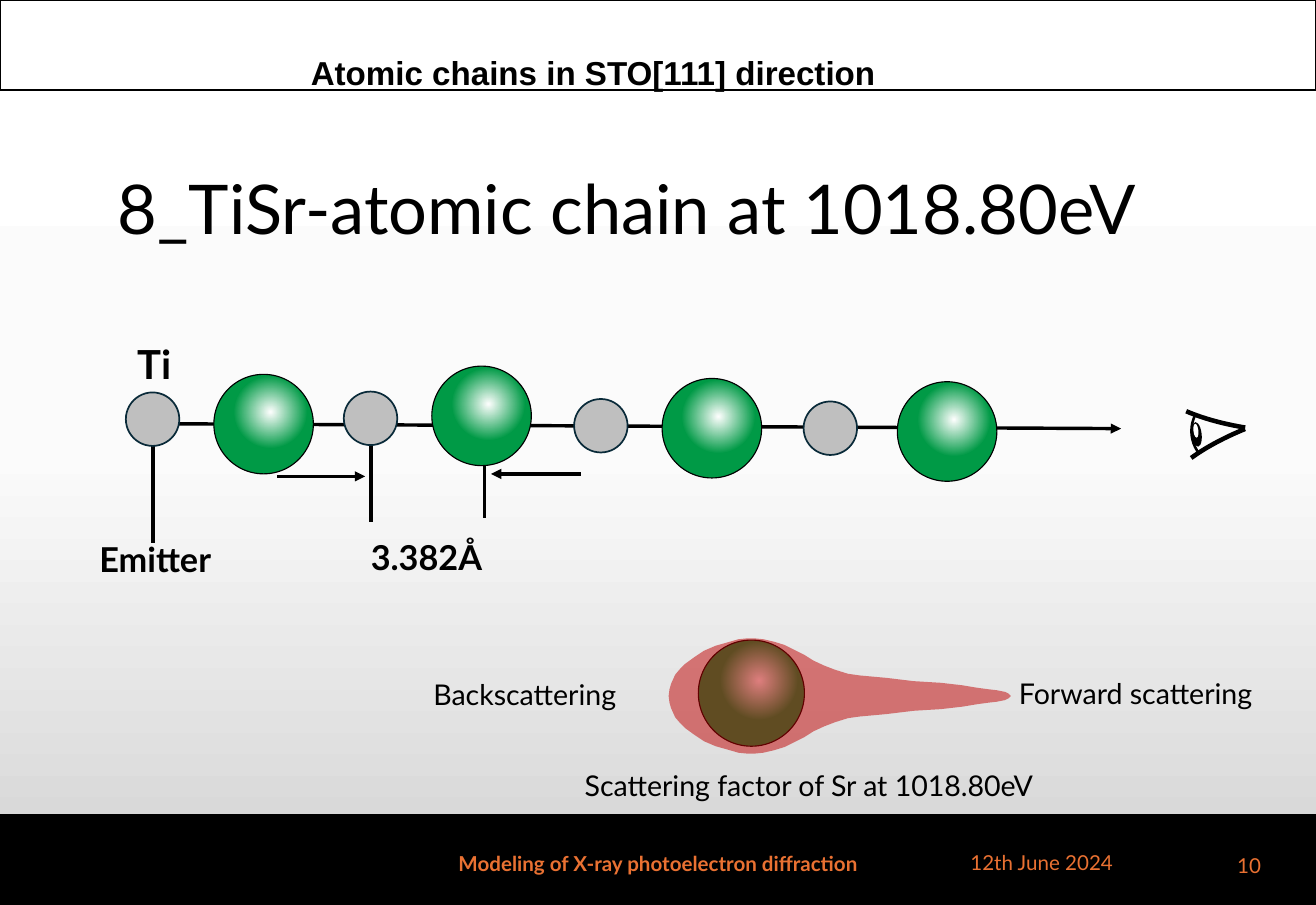
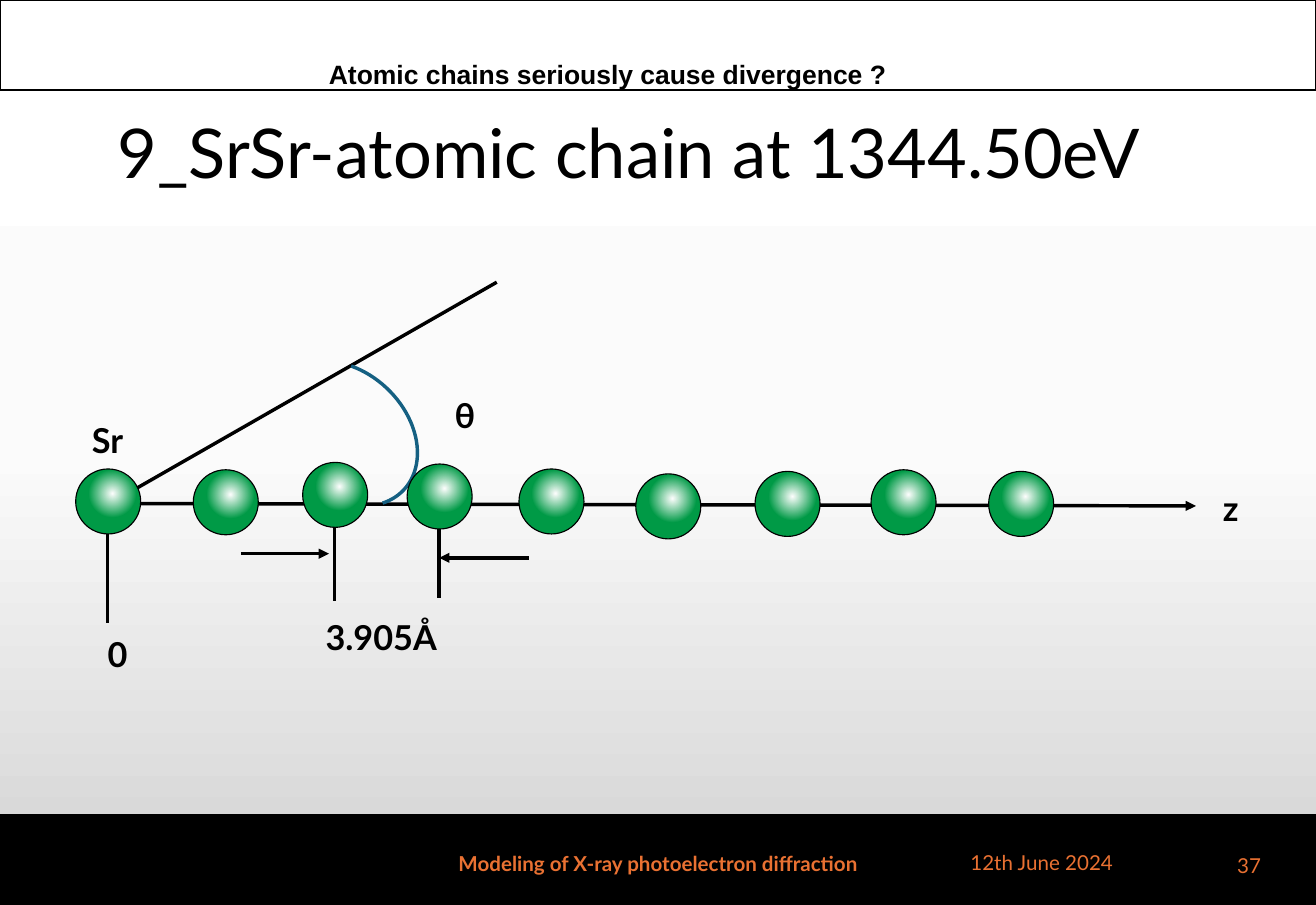
import dataclasses

import pptx
import pptx.dml.color
import pptx.enum.shapes
import pptx.enum.text
import pptx.oxml
import pptx.oxml.ns
import pptx.util

Inches = pptx.util.Inches
Pt = pptx.util.Pt
qn = pptx.oxml.ns.qn
Shape = pptx.enum.shapes.MSO_SHAPE
Align = pptx.enum.text.PP_ALIGN
Anchor = pptx.enum.text.MSO_ANCHOR
AutoSize = pptx.enum.text.MSO_AUTO_SIZE
DRAWING = "http://schemas.openxmlformats.org/drawingml/2006/main"


@dataclasses.dataclass(frozen=True)
class Theme:
    ink: str = "000000"
    paper: str = "FFFFFF"
    accent: str = "E97132"
    strontium: str = "009A46"
    titanium: str = "BFBFBF"
    titanium_edge: str = "092A39"
    angle: str = "156082"
    lobe: str = "C00000"
    font: str = "Lato"
    header_font: str = "Arial"
    title_size: int = 60
    element_size: int = 35
    label_size: int = 30
    caption_size: int = 25
    footer_size: int = 18
    background: tuple = ((0, "FFFFFF", 100), (50, "FBFBFB", 100), (100, "D1D1D1", 100))
    highlight: tuple = ((0, "FFFFFF", 100), (60, "FFFFFF", 0))


THEME = Theme()
FOOTER = "Modeling of X-ray photoelectron diffraction"
DATE = "12th June 2024"
WIDTH, HEIGHT, BAND = 16, 11, 1.09
LOBE_PROFILE = (
    (0, 0), (0.01, 0.08), (0.03, 0.15), (0.08, 0.26), (0.14, 0.33), (0.2, 0.39),
    (0.31, 0.47), (0.43, 0.55), (0.57, 0.61), (0.71, 0.65), (0.85, 0.69), (0.95, 0.7),
    (1.05, 0.7), (1.15, 0.69), (1.28, 0.66), (1.41, 0.62), (1.53, 0.56), (1.65, 0.5),
    (1.76, 0.43), (1.89, 0.37), (2.02, 0.32), (2.18, 0.27), (2.32, 0.25), (2.65, 0.22),
    (2.98, 0.18), (3.31, 0.16), (3.57, 0.13), (3.75, 0.1), (3.9, 0.08), (3.99, 0.07),
    (4.09, 0.05), (4.13, 0.03), (4.16, 0),
)


def rgb(color):
    return pptx.dml.color.RGBColor.from_string(color)


def set_gradient(owner, fill, stops, shading):
    fill.gradient()
    gradient = owner.element.find(".//" + qn("a:gradFill"))
    stop_list = "".join(
        f'<a:gs pos="{position * 1000}"><a:srgbClr val="{color}">'
        f'<a:alpha val="{opacity * 1000}"/></a:srgbClr></a:gs>'
        for position, color, opacity in stops
    )
    gradient[:] = list(pptx.oxml.parse_xml(
        f'<a:gradFill xmlns:a="{DRAWING}"><a:gsLst>{stop_list}</a:gsLst>{shading}</a:gradFill>'
    ))


def write_text(shape, text, *, size=THEME.label_size, font=THEME.font, color=THEME.ink,
               bold=False, align=Align.LEFT, anchor=Anchor.TOP, grow=True,
               spacing=None, baseline=None):
    frame = shape.text_frame
    frame.word_wrap = True
    frame.auto_size = AutoSize.SHAPE_TO_FIT_TEXT if grow else AutoSize.NONE
    frame.vertical_anchor = anchor
    paragraph = frame.paragraphs[0]
    paragraph.alignment = align
    if spacing:
        paragraph.line_spacing = spacing
    run = paragraph.add_run()
    run.text = text
    run.font.size = Pt(size)
    run.font.name = font
    run.font.bold = bold
    run.font.color.rgb = rgb(color)
    if baseline:
        run.font._element.set("baseline", str(baseline * 1000))


@dataclasses.dataclass
class Region:
    slide: object
    left: float = 0
    top: float = 0

    def point(self, x, y):
        return Inches(self.left + x), Inches(self.top + y)

    def text(self, text, x, y, width, height, **text_format):
        box = self.slide.shapes.add_textbox(*self.point(x, y), Inches(width), Inches(height))
        write_text(box, text, **text_format)

    def shape(self, kind, x, y, width, height, fill=None, line=None, weight=1, rotation=0):
        shape = self.slide.shapes.add_shape(
            kind, *self.point(x, y), Inches(width), Inches(height))
        paint(shape, fill, line, weight)
        shape.rotation = rotation
        return shape

    def arc(self, x, y, width, height, angles, line, weight, rotation, flip=False):
        arc = self.shape(Shape.ARC, x, y, width, height, None, line, weight, rotation)
        arc.adjustments[0], arc.adjustments[1] = angles
        if flip:
            arc.element.spPr.find(qn("a:xfrm")).set("flipV", "1")

    def line(self, start, end, weight=3, arrow=False):
        connector = self.slide.shapes.add_connector(
            pptx.enum.shapes.MSO_CONNECTOR.STRAIGHT, *self.point(*start), *self.point(*end))
        connector.line.color.rgb = rgb(THEME.ink)
        connector.line.width = Pt(weight)
        properties = connector.element.spPr
        if arrow:
            properties.find(qn("a:ln")).append(pptx.oxml.parse_xml(
                f'<a:tailEnd xmlns:a="{DRAWING}" type="triangle"/>'))
        properties.append(pptx.oxml.parse_xml(f'<a:effectLst xmlns:a="{DRAWING}"/>'))
        return connector


def paint(shape, fill, line, weight=1):
    shape.shadow.inherit = False
    if fill:
        shape.fill.solid()
        shape.fill.fore_color.rgb = rgb(fill)
    else:
        shape.fill.background()
    if line:
        shape.line.color.rgb = rgb(line)
        shape.line.width = Pt(weight)
    else:
        shape.line.fill.background()


def add_sphere(region, x, y, diameter):
    region.shape(Shape.OVAL, x, y, diameter, diameter, THEME.strontium, THEME.ink)
    glow = diameter * 0.86
    highlight = region.shape(
        Shape.OVAL, x + diameter * 0.14, y - diameter * 0.05, glow, glow)
    set_gradient(highlight, highlight.fill, THEME.highlight,
                 '<a:path path="circle"><a:fillToRect l="50000" t="50000" r="50000" b="50000"/>'
                 '</a:path>')


def add_chain_axis(region, axis_end, ticks, arrow_heights, right_gap, element, element_size,
                   distance):
    region.line((0, 0), (0, 1.47))
    region.line((-0.04, 0.02), axis_end, arrow=True)
    for x, y in ticks:
        region.line((x, y), (x, y + 1.15))
    left_tip, right_tip = ticks[0][0] - 0.07, ticks[1][0] + right_gap
    left_height, right_height = arrow_heights
    region.line((left_tip - 1.07, left_height), (left_tip, left_height), arrow=True)
    region.line((right_tip + 1.09, right_height), (right_tip, right_height), arrow=True)
    region.text(element, -0.29, -1.05, 1.61, 0.65, size=element_size, bold=True)
    region.text(distance, 2.55, 1.34, 2.23, 0.61, bold=True)


def add_titanium_chain(region):
    add_chain_axis(region, (11.77, 0.08), ((2.65, 0.06), (4.03, 0.02)), (0.66, 0.63), 0.08,
                   "Ti", THEME.element_size, "3.382Å")
    region.text("Emitter", -0.75, 1.36, 3.39, 0.61, bold=True)
    for x, y in ((-0.33, -0.36), (2.32, -0.37), (5.12, -0.28), (7.91, -0.25)):
        region.shape(Shape.FLOWCHART_CONNECTOR, x, y, 0.65, 0.65,
                     THEME.titanium, THEME.titanium_edge, 1.5)
    for x, y in ((0.74, -0.58), (3.39, -0.68), (6.19, -0.53), (9.05, -0.49)):
        add_sphere(region, x, y, 1.21)


def add_strontium_chain(region):
    add_chain_axis(region, (13.23, 0.05), ((2.76, 0.05), (4.03, 0.02)), (0.63, 0.68), 0,
                   "Sr", THEME.label_size, "3.905Å")
    region.text("0", -0.1, 1.55, 0.43, 0.61, bold=True)
    region.line((0.08, -0.01), (4.73, -2.67))
    region.arc(1.87, -1.59, 2, 1.52, (139.81, 10.57), THEME.angle, 3, 43.2)
    region.text("θ", 4.12, -1.36, 1.07, 0.61, bold=True)
    region.text("z", 13.46, -0.23, 0.66, 0.61, bold=True)
    for x, y in ((-0.39, -0.4), (1.04, -0.39), (2.37, -0.48), (3.64, -0.46), (5, -0.4),
                 (6.42, -0.34), (7.87, -0.37), (9.28, -0.39), (10.71, -0.37)):
        add_sphere(region, x, y, 0.79)


def add_eye(region):
    lid = (59.22, 97.09)
    region.arc(0.07, 0.66, 2.37, 0.7, lid, THEME.ink, 4, 338.6, flip=True)
    region.arc(0, 0, 2.37, 0.7, lid, THEME.ink, 4, 8.6)
    region.arc(0.38, 0.39, 0.79, 0.7, (31.82, 77.1), THEME.ink, 2.25, 83.6)
    region.shape(Shape.OVAL, 0.43, 0.62, 0.12, 0.3, THEME.ink, rotation=353.6)
    region.shape(Shape.OVAL, 0.45, 0.64, 0.06, 0.17, THEME.paper, rotation=353.6)


def add_scattering(region):
    add_sphere(region, 3.32, 0.07, 1.29)
    left, middle = 2.96, 0.75
    upper = [region.point(left + x, middle - y) for x, y in LOBE_PROFILE]
    lower = [region.point(left + x, middle + y) for x, y in LOBE_PROFILE[-2:0:-1]]
    builder = region.slide.shapes.build_freeform(*upper[0])
    builder.add_line_segments(upper[1:] + lower, close=True)
    lobe = builder.convert_to_shape()
    paint(lobe, THEME.lobe, None)
    lobe.element.spPr.find(qn("a:solidFill"))[0].append(
        pptx.oxml.parse_xml(f'<a:alpha xmlns:a="{DRAWING}" val="50000"/>'))
    for text, x, y, width in (
        ("Backscattering", 0, 0.47, 2.68),
        ("Forward scattering", 7.12, 0.46, 3.39),
        ("Scattering factor of Sr at 1018.80eV", 1.84, 1.57, 6.39),
    ):
        region.text(text, x, y, width, 0.52, size=THEME.caption_size)


def add_layout_bands(layout, slide):
    for placeholder in list(layout.placeholders)[1:]:
        layout.shapes.element.remove(placeholder.element)
    page = Region(slide)
    bands = (
        page.shape(Shape.RECTANGLE, 0, 0, WIDTH, BAND, THEME.paper, THEME.ink, 1.5),
        page.shape(Shape.RECTANGLE, 0, HEIGHT - BAND, WIDTH, BAND, THEME.ink, THEME.ink, 1.5),
        page.line((0, BAND), (WIDTH, BAND), weight=1.5),
    )
    for band in bands:
        layout.shapes.element.append(band.element)


def add_frame(slide, title, title_top, header, header_size, header_left, header_top, number):
    placeholder = slide.shapes.title
    placeholder.left, placeholder.top = Inches(1.33), Inches(title_top)
    placeholder.width, placeholder.height = Inches(13.8), Inches(2.13)
    write_text(placeholder, title, size=THEME.title_size, anchor=Anchor.MIDDLE,
               grow=False, spacing=0.9)
    Region(slide, header_left, header_top).text(
        header, 0, 0, 8.71, BAND - header_top, size=header_size, font=THEME.header_font,
        bold=True, baseline=23)
    footer = Region(slide, 5.3, 10.2)
    for text, x, y, width, align, bold in (
        (FOOTER, 0, 0, 5.4, Align.CENTER, True),
        (number, 9.6, 0.02, 0.53, Align.RIGHT, False),
        (DATE, 6.4, -0.02, 2.2, Align.LEFT, False),
    ):
        footer.text(text, x, y, width, 0.59, size=THEME.footer_size, color=THEME.accent,
                    bold=bold, align=align, anchor=Anchor.MIDDLE, grow=False)


def main():
    presentation = pptx.Presentation()
    presentation.slide_width, presentation.slide_height = Inches(WIDTH), Inches(HEIGHT)
    master = presentation.slide_master
    set_gradient(master, master.background.fill, THEME.background,
                 '<a:lin ang="5400000" scaled="0"/>')
    layout = presentation.slide_layouts.get_by_name("Title Only")

    titanium_slide = presentation.slides.add_slide(layout)
    add_layout_bands(layout, titanium_slide)
    add_frame(titanium_slide, "8_TiSr-atomic chain at 1018.80eV", 1.51,
              "Atomic chains in STO[111] direction", 50, 3.68, 0.45, "10")
    add_eye(Region(titanium_slide, 14.06, 4.51))
    add_titanium_chain(Region(titanium_slide, 1.86, 5.13))
    add_scattering(Region(titanium_slide, 5.17, 7.71))

    strontium_slide = presentation.slides.add_slide(layout)
    add_frame(strontium_slide, "9_SrSr-atomic chain at 1344.50eV", 0.83,
              "Atomic chains seriously cause divergence ?", 40, 3.9, 0.55, "37")
    add_strontium_chain(Region(strontium_slide, 1.31, 6.1))

    presentation.save("out.pptx")


if __name__ == "__main__":
    main()
